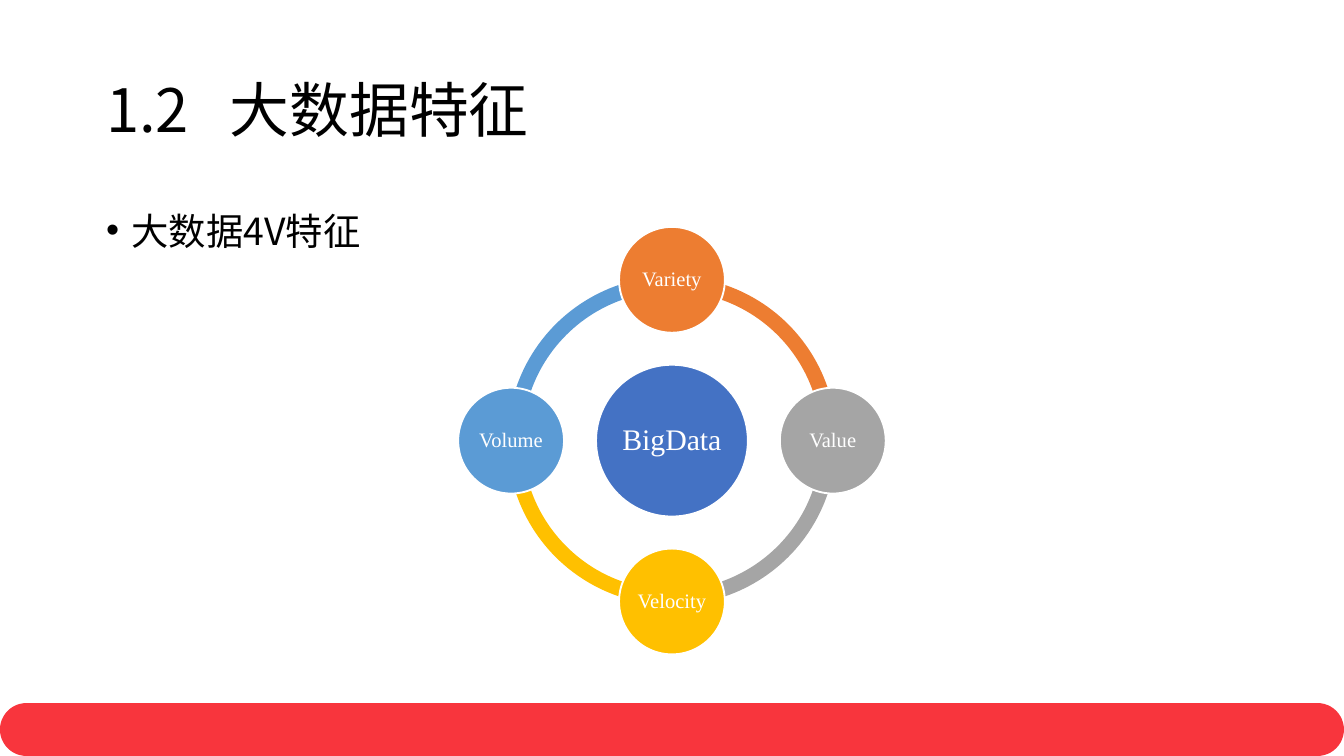
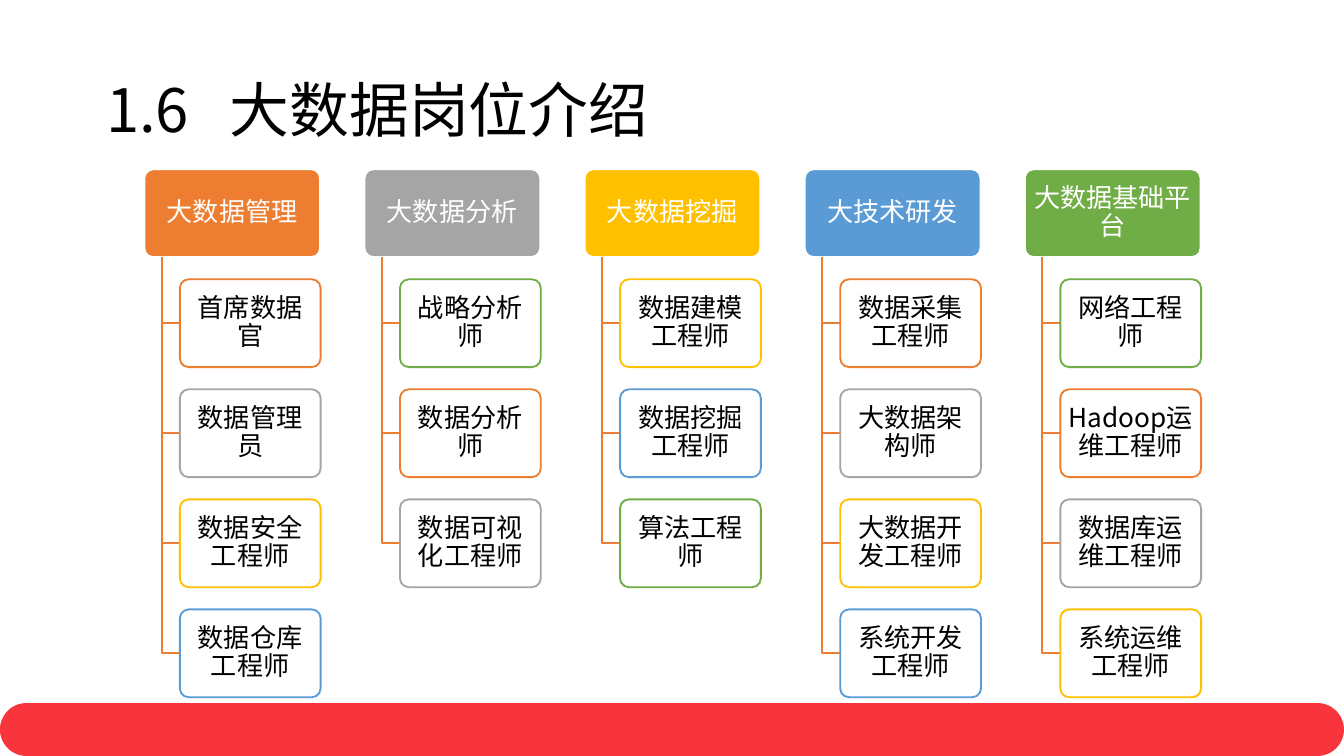
from itertools import cycle
from math import cos, radians, sin

from lxml import etree
from pptx import Presentation
from pptx.dml.color import RGBColor
from pptx.enum import shapes, text
from pptx.oxml.ns import qn
from pptx.util import Cm, Pt

RED = RGBColor(0xF8, 0x35, 0x3D)
WHITE = RGBColor(0xFF, 0xFF, 0xFF)
BLACK = RGBColor(0x00, 0x00, 0x00)
INDIGO = RGBColor(0x44, 0x72, 0xC4)
ORANGE = RGBColor(0xED, 0x7D, 0x31)
GRAY = RGBColor(0xA5, 0xA5, 0xA5)
GOLD = RGBColor(0xFF, 0xC0, 0x00)
BLUE = RGBColor(0x5B, 0x9B, 0xD5)
GREEN = RGBColor(0x70, 0xAD, 0x47)
ACCENTS = [ORANGE, GRAY, GOLD, BLUE, GREEN]

SANS = "Noto Sans CJK SC"
SERIF = "Times New Roman"

FEATURES_TITLE = ("1.2", "大数据特征")
FEATURES_POINT = "大数据4V特征"
HUB = "BigData"
FEATURES = ["Variety", "Value", "Velocity", "Volume"]  # clockwise from the top

JOBS_TITLE = ("1.6", "大数据岗位介绍")
JOBS = {
    "大数据管理": ["首席数据官", "数据管理员", "数据安全工程师", "数据仓库工程师"],
    "大数据分析": ["战略分析师", "数据分析师", "数据可视化工程师"],
    "大数据挖掘": ["数据建模工程师", "数据挖掘工程师", "算法工程师"],
    "大技术研发": ["数据采集工程师", "大数据架构师", "大数据开发工程师", "系统开发工程师"],
    "大数据基础平台": ["网络工程师", "Hadoop运维工程师", "数据库运维工程师", "系统运维工程师"],
}

SLIDE_W, SLIDE_H = 25.4, 14.29
BAND_H = 1.0
MARGIN, CONTENT_W = 1.75, 21.9

CENTER_X, CENTER_Y = 12.7, 8.33
RING_D, HUB_D, FEATURE_D, ORBIT = 6.22, 2.87, 2.0, 3.04

FIELD_X, FIELD_Y, FIELD_W = 2.73, 3.2, 3.32
BOX_H = 1.66
COLUMN_STEP, ROW_STEP = 4.16, 2.08
TRUNK_INDENT, JOB_INDENT, JOB_W = 0.33, 0.67, 2.66


def style_text(paragraph, size, color, font=SANS, spacing=0.9):
    paragraph.line_spacing = spacing
    for run in paragraph.runs:
        run.font.size = Pt(size)
        run.font.color.rgb = color
        run.font.name = font
        etree.SubElement(run.font._element, qn("a:ea"), typeface=font)


def place(shape, x, y, w, h):
    shape.left, shape.top, shape.width, shape.height = Cm(x), Cm(y), Cm(w), Cm(h)


def add_filled(slide, kind, x, y, w, h, fill, line=None, adjust=()):
    shape = slide.shapes.add_shape(kind, Cm(x), Cm(y), Cm(w), Cm(h))
    shape.shadow.inherit = False
    for i, value in enumerate(adjust):
        shape.adjustments[i] = value
    shape.fill.solid()
    shape.fill.fore_color.rgb = fill
    if line is None:
        shape.line.fill.background()
    else:
        shape.line.color.rgb = line
        shape.line.width = Pt(1)
    return shape


def write_label(shape, label, size, color, font=SANS, side_margin=0.07):
    frame = shape.text_frame
    frame.word_wrap = True
    frame.vertical_anchor = text.MSO_ANCHOR.MIDDLE
    frame.margin_left = frame.margin_right = Cm(side_margin)
    frame.margin_top = frame.margin_bottom = Cm(0.05)
    frame.text = label
    frame.paragraphs[0].alignment = text.PP_ALIGN.CENTER
    style_text(frame.paragraphs[0], size, color, font)


def add_circle(slide, x, y, diameter, fill, label, size):
    """Add a labelled circle centred on x, y."""
    circle = add_filled(slide, shapes.MSO_SHAPE.OVAL, x - diameter / 2, y - diameter / 2,
                        diameter, diameter, fill, WHITE)
    write_label(circle, label, size, WHITE, SERIF, side_margin=0)


def add_box(slide, x, y, w, fill, line, label, color):
    box = add_filled(slide, shapes.MSO_SHAPE.ROUNDED_RECTANGLE, x, y, w, BOX_H,
                     fill, line, [0.1])
    write_label(box, label, 14, color)
    return box


def add_elbow(slide, x, top, right, bottom):
    """Draw a line down from x, top and then across to right, bottom."""
    outline = slide.shapes.build_freeform(Cm(x), Cm(top))
    outline.add_line_segments([(Cm(x), Cm(bottom)), (Cm(right), Cm(bottom))], close=False)
    elbow = outline.convert_to_shape()
    elbow.shadow.inherit = False
    elbow.fill.background()
    elbow.line.color.rgb = ORANGE
    elbow.line.width = Pt(1)


def move_band_to_master(prs, slide):
    """Draw the footer band and hand it to the master, behind its placeholders."""
    band = add_filled(slide, shapes.MSO_SHAPE.ROUNDED_RECTANGLE, 0, SLIDE_H - BAND_H,
                      SLIDE_W, BAND_H, RED, adjust=[0.5])
    band.element.nvSpPr.cNvPr.set("id", "20")
    prs.slide_master.shapes.element.insert(2, band.element)


def add_titled_slide(prs, layout, title):
    slide = prs.slides.add_slide(prs.slide_layouts.get_by_name(layout))
    heading = slide.shapes.title
    place(heading, MARGIN, 0.76, CONTENT_W, 2.76)
    frame = heading.text_frame
    frame.auto_size = text.MSO_AUTO_SIZE.NONE
    frame.vertical_anchor = text.MSO_ANCHOR.MIDDLE
    frame.text = "\t".join(title)
    paragraph = frame.paragraphs[0]
    paragraph.alignment = text.PP_ALIGN.LEFT
    style_text(paragraph, 32, BLACK)
    tabs = etree.SubElement(paragraph._p.get_or_add_pPr(), qn("a:tabLst"))
    etree.SubElement(tabs, qn("a:tab"), pos=str(Cm(2.34)), algn="l")
    return slide


def build_features(prs):
    slide = add_titled_slide(prs, "Title and Content", FEATURES_TITLE)
    move_band_to_master(prs, slide)

    body = slide.placeholders[1]
    place(body, MARGIN, 3.8, CONTENT_W, 9.07)
    body.text_frame.auto_size = text.MSO_AUTO_SIZE.NONE
    body.text_frame.text = FEATURES_POINT
    point = body.text_frame.paragraphs[0]
    properties = point._p.get_or_add_pPr()
    properties.set("marL", str(Cm(0.48)))
    properties.set("indent", str(-Cm(0.48)))
    etree.SubElement(properties, qn("a:buChar"), char="•")
    point.space_before = Pt(0)
    style_text(point, 20, BLACK, spacing=1.0)

    # Arc angles are in units of 1/0.6 degree: a quarter turn is 54, a full turn 216.
    for i, color in reversed(list(enumerate(ACCENTS[:4]))):
        start = (162 + 54 * i) % 216
        add_filled(slide, shapes.MSO_SHAPE.BLOCK_ARC, CENTER_X - RING_D / 2,
                   CENTER_Y - RING_D / 2, RING_D, RING_D, color,
                   adjust=[start, (start + 54) % 216, 0.046])

    add_circle(slide, CENTER_X, CENTER_Y, HUB_D, INDIGO, HUB, 16)
    for i, (feature, color) in enumerate(zip(FEATURES, ACCENTS)):
        angle = radians(90 * i)
        add_circle(slide, CENTER_X + ORBIT * sin(angle), CENTER_Y - ORBIT * cos(angle),
                   FEATURE_D, color, feature, 11)


def build_jobs(prs):
    slide = add_titled_slide(prs, "Title Only", JOBS_TITLE)
    outlines = cycle(ACCENTS)
    for column, (field, jobs) in enumerate(JOBS.items()):
        x = FIELD_X + column * COLUMN_STEP
        add_box(slide, x, FIELD_Y, FIELD_W, ACCENTS[column], WHITE, field, WHITE)
        for row, job in enumerate(jobs, start=1):
            y = FIELD_Y + row * ROW_STEP
            add_elbow(slide, x + TRUNK_INDENT, FIELD_Y + BOX_H, x + JOB_INDENT, y + BOX_H / 2)
            box = add_box(slide, x + JOB_INDENT, y, JOB_W, WHITE, next(outlines), job, BLACK)
            fill_color = box.element.spPr.find(qn("a:solidFill"))[0]
            etree.SubElement(fill_color, qn("a:alpha"), val="90000")


def main():
    prs = Presentation()
    prs.slide_width, prs.slide_height = Cm(SLIDE_W), Cm(SLIDE_H)
    build_features(prs)
    build_jobs(prs)
    prs.save("out.pptx")


if __name__ == "__main__":
    main()
